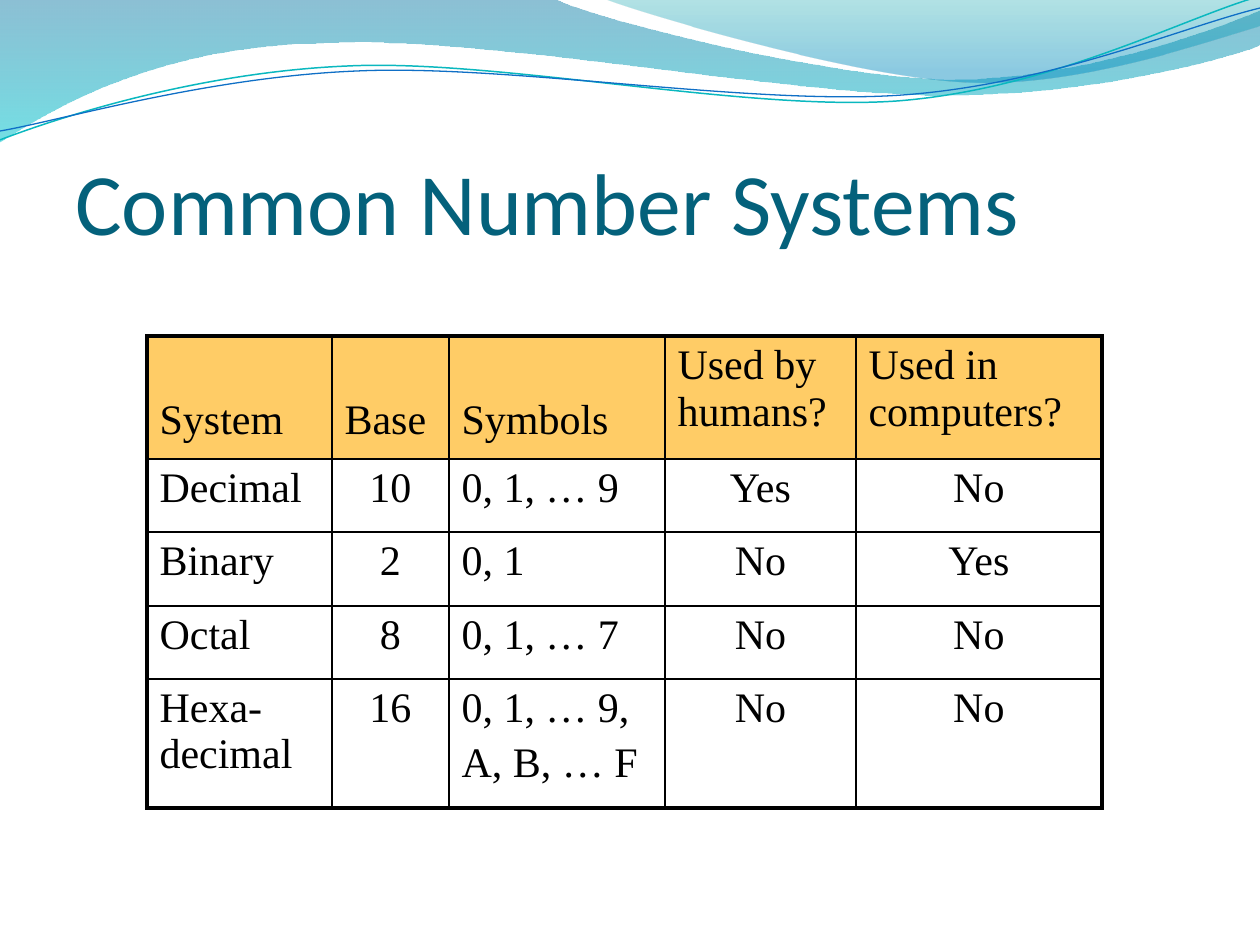
import math

from lxml import etree
from pptx import Presentation
from pptx import util as u
from pptx.dml.color import RGBColor
from pptx.enum import text
from pptx.oxml import ns

PX = 914400 / 126
TITLE = RGBColor(0x04, 0x61, 0x7B)
BLACK = RGBColor(0, 0, 0)
HEADER = RGBColor(0xFF, 0xCC, 0x66)
TEAL = RGBColor(0x0A, 0xB8, 0xBF)
BLUE = RGBColor(0x0F, 0x6F, 0xC6)
DEEP = RGBColor(0x00, 0x74, 0xA1)
CYAN = RGBColor(0x00, 0xC6, 0xCF)
SEA = RGBColor(0x00, 0xA1, 0xA9)
SKY = RGBColor(0x00, 0x8B, 0xBF)

# Outlines in pixels: pairs are straight lines, sixes are cubic curves.
# Gradient stops are (position %, colour, opacity %).
WAVES = [
    ([(0, 0), (554, -1), (600, 21, 837, 79, 955, 79),
      (1075, 79, 1207, 33, 1260, 11), (1261, 45),
      (1239, 55, 1096, 96, 940, 95), (784, 95, 481, 35, 324, 43),
      (163, 45, 58, 105, -1, 142)],
     [(0, DEEP, 45), (100, CYAN, 55)]),
    ([(604, -1), (641, 14, 859, 78, 969, 82),
      (1079, 87, 1211, 40, 1260, 26), (1260, 0)],
     [(0, SEA, 30), (80, SKY, 45)]),
]
# Each strand: outline, centre of rotation, colour, width in points.
STRANDS = [
    ([(0, 140), (60, 117, 199, 72, 349, 66), (498, 59, 747, 112, 898, 101),
      (1050, 89, 1182, 19, 1257, -3)], (629, 72), TEAL, 0.85),
    ([(0, 131), (59, 121, 207, 77, 357, 71), (508, 64, 752, 106, 903, 95),
      (1053, 84, 1185, 26, 1260, 8)], (629, 74), BLUE, 0.75),
]
TILT = -2.7
COLS = [185, 117, 216, 191, 246]
ROWS = [123, 73, 74, 73, 129]
CELLS = [
    ["System", "Base", "Symbols", "Used by humans?", "Used in computers?"],
    ["Decimal", "10", "0, 1, … 9", "Yes", "No"],
    ["Binary", "2", "0, 1", "No", "Yes"],
    ["Octal", "8", "0, 1, … 7", "No", "No"],
    ["Hexa-\vdecimal", "16", "0, 1, … 9,\nA, B, … F", "No", "No"],
]
CENTRED = {1, 3, 4}
LOWERED = {"System", "Base", "Symbols"}


def emu(px):
    """Turn pixels into EMU."""
    return u.Emu(round(px * PX))


def set_all(obj, values):
    """Set attributes of an object from a dict."""
    for name, value in values.items():
        setattr(obj, name, value)


def turn(point, centre, degrees):
    """Rotate a point clockwise about a centre."""
    dx, dy = point[0] - centre[0], point[1] - centre[1]
    cos, sin = math.cos(math.radians(degrees)), math.sin(math.radians(degrees))
    return centre[0] + dx * cos - dy * sin, centre[1] + dx * sin + dy * cos


def add_outline(slide, left, top, outline, close, centre=(0, 0), tilt=0):
    """Draw an outline of lines and curves relative to a corner."""
    points = [turn(seg[i:i + 2], centre, -tilt)
              for seg in outline for i in range(0, len(seg), 2)]
    points = [(emu(left + x), emu(top + y)) for x, y in points]
    builder = slide.shapes.build_freeform(*points[0])
    builder.add_line_segments(points[1:], close=close)
    sp = builder.convert_to_shape()
    sp.shadow.inherit = False
    sp.rotation = tilt
    lines = iter(list(sp._element.iter(ns.qn("a:lnTo"))))
    for seg in outline[1:]:
        line = next(lines)
        if len(seg) == 6:
            line.tag = ns.qn("a:cubicBezTo")
            for _ in range(2):
                extra = next(lines)
                line.append(extra[0])
                extra.getparent().remove(extra)
    return sp


def fill_gradient(sp, stops):
    """Fill a shape from top to bottom with translucent stops."""
    sp.fill.gradient()
    grad = sp._element.spPr.find(ns.qn("a:gradFill"))
    for child in list(grad):
        grad.remove(child)
    gs_list = etree.SubElement(grad, ns.qn("a:gsLst"))
    for pos, color, opacity in stops:
        gs = etree.SubElement(gs_list, ns.qn("a:gs"), pos=str(pos * 1000))
        clr = etree.SubElement(gs, ns.qn("a:srgbClr"), val=str(color))
        etree.SubElement(clr, ns.qn("a:alpha"), val=str(opacity * 1000))
    etree.SubElement(grad, ns.qn("a:lin"), ang="5400000", scaled="0")


def add_banner(slide, left, top):
    """Draw the waves and strands along the top edge."""
    for outline, stops in WAVES:
        sp = add_outline(slide, left, top, outline, True)
        fill_gradient(sp, stops)
        sp.line.fill.background()
    for outline, centre, color, width in STRANDS:
        sp = add_outline(slide, left, top, outline, False, centre, TILT)
        sp.fill.background()
        sp.line.color.rgb = color
        sp.line.width = u.Pt(width)


def add_title(slide, left, top, width, height):
    """Place the slide title in its box."""
    sp = slide.shapes.add_textbox(*map(emu, (left, top, width, height)))
    tf = sp.text_frame
    set_all(tf, {"word_wrap": True, "vertical_anchor": text.MSO_ANCHOR.TOP})
    r = tf.paragraphs[0].add_run()
    r.text = "Common Number Systems"
    set_all(r.font, {"size": u.Pt(50), "name": "Calibri"})
    r.font.color.rgb = TITLE


def set_borders(cell, widths):
    """Draw black cell borders from a dict of side and width in points."""
    tc_pr = cell._tc.get_or_add_tcPr()
    for side, width in widths.items():
        ln = etree.SubElement(tc_pr, ns.qn("a:ln" + side),
                              w=str(u.Pt(width)))
        fill = etree.SubElement(ln, ns.qn("a:solidFill"))
        etree.SubElement(fill, ns.qn("a:srgbClr"), val=str(BLACK))


def fill_cell(cell, row, col):
    """Write and format one table cell."""
    outer = {"L": col == 0, "R": col == len(COLS) - 1,
             "T": row == 0, "B": row == len(ROWS) - 1}
    set_borders(cell, {s: 2.25 if edge else 1 for s, edge in outer.items()})
    if row == 0:
        cell.fill.solid()
        cell.fill.fore_color.rgb = HEADER
    else:
        cell.fill.background()
    label = CELLS[row][col]
    if label in LOWERED:
        cell.margin_top = emu(61)
    cell.text_frame.text = label
    for p in cell.text_frame.paragraphs:
        centred = row > 0 and col in CENTRED
        set_all(p, {"space_before": u.Pt(4.8),
                    "alignment": text.PP_ALIGN.CENTER if centred
                    else text.PP_ALIGN.LEFT})
        for r in p.runs:
            set_all(r.font, {"size": u.Pt(24), "name": "Times New Roman"})
            r.font.color.rgb = BLACK


def add_systems_table(slide, left, top):
    """Place the table of number systems."""
    box = (left, top, sum(COLS), sum(ROWS))
    table = slide.shapes.add_table(len(ROWS), len(COLS), *map(emu, box)).table
    set_all(table, {"first_row": False, "horz_banding": False})
    for column, width in zip(table.columns, COLS):
        column.width = emu(width)
    for row, height in enumerate(ROWS):
        table.rows[row].height = emu(height)
        for col in range(len(COLS)):
            fill_cell(table.cell(row, col), row, col)


prs = Presentation()
set_all(prs, {"slide_width": emu(1260), "slide_height": emu(945)})
slide = prs.slides.add_slide(prs.slide_layouts[6])
add_banner(slide, 0, 0)
add_title(slide, 63, 142, 1134, 158)
add_systems_table(slide, 147, 336)
prs.save("out.pptx")
